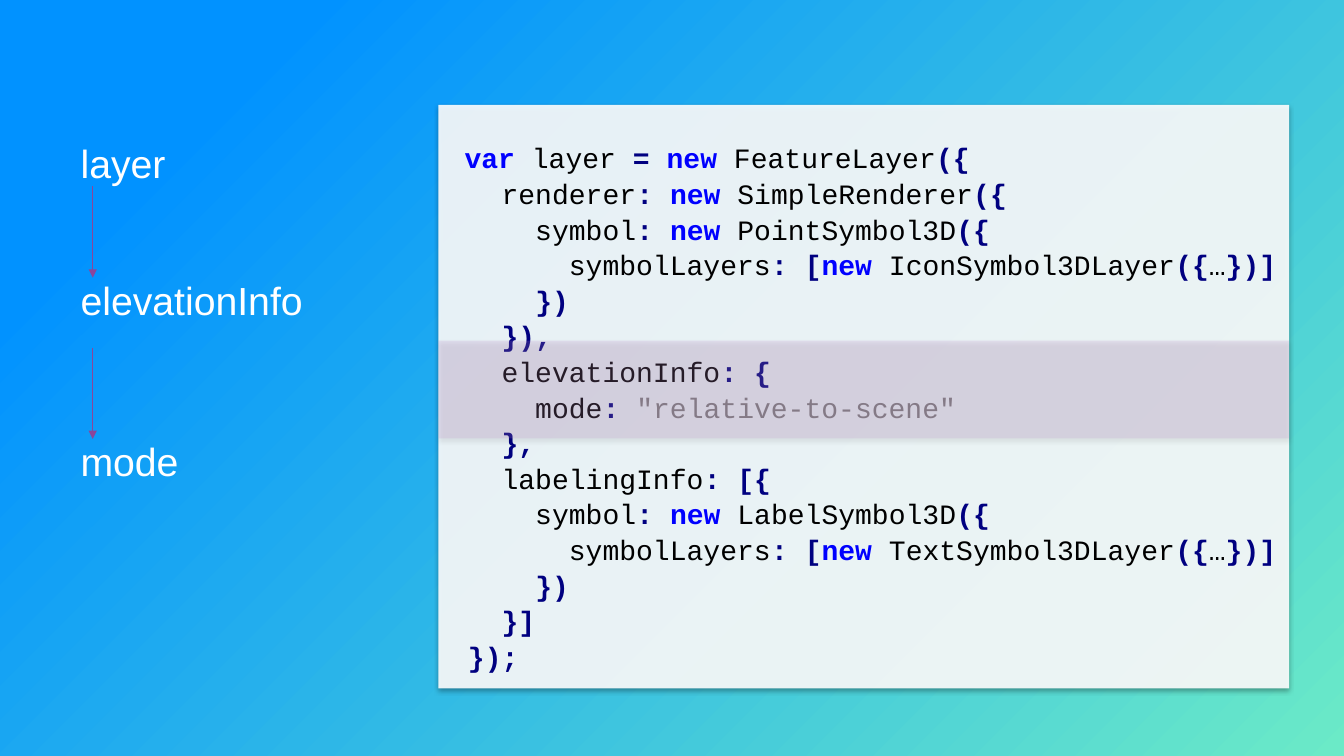
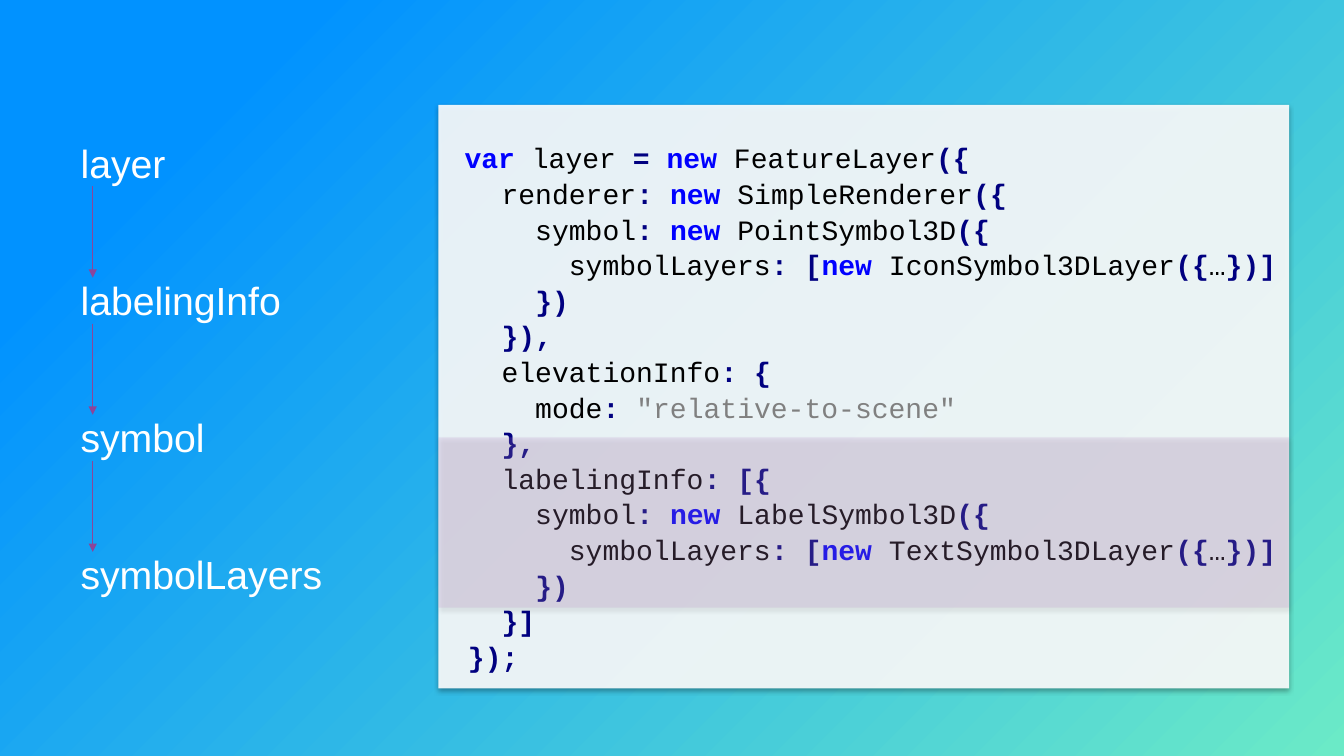
from itertools import groupby

from lxml.etree import SubElement as Sub
from pptx import Presentation
from pptx.dml.color import RGBColor as Rgb
from pptx.enum.shapes import MSO_CONNECTOR as Line, MSO_SHAPE as Shape
from pptx.oxml.ns import qn
from pptx.util import Inches, Pt

COLORS = {
    "mint": "6BEAC7", "blue": "0192FF", "white": "FFFFFF", "arrow": "8C459A",
    "band": "BF8CC9", "shade": "000000",
    "name": "000000", "key": "0000FF", "mark": "000080", "text": "808080",
}

CODE = """\
  var layer = new FeatureLayer({
    renderer: new SimpleRenderer({
      symbol: new PointSymbol3D({
        symbolLayers: [new IconSymbol3DLayer({…})]
      })
    }),
    elevationInfo: {
      mode: "relative-to-scene"
    },
    labelingInfo: [{
      symbol: new LabelSymbol3D({
        symbolLayers: [new TextSymbol3DLayer({…})]
      })
    }]
  });"""

# Each slide: labels with their tops, then top and height of the band.
# Lengths are percent of the slide's width or height.
SLIDES = [
    ([("layer", 18.4), ("elevationInfo", 36.53), ("mode", 57.87)],
     (45.07, 12.93)),
    ([("layer", 18.4), ("labelingInfo", 36.53), ("symbol", 54.67),
      ("symbolLayers", 72.8)],
     (57.87, 22.53)),
]


def rgb(name):
    return Rgb.from_string(COLORS[name])


def group(char):
    """Tell blanks, words and marks apart."""
    if char == " ":
        return "blank"
    return "word" if char.isalnum() or char in '"-…' else "mark"


def kind(token):
    """Name the colour of a token."""
    if token in ("var", "new"):
        return "key"
    if token.startswith('"'):
        return "text"
    return "mark" if group(token[0]) == "mark" else "name"


class Deck:
    LEFT, ARROW = 6, 6.9          # label edge and arrow axis
    PANEL, WIDE = 32.62, 63.3     # panel edge and width

    def __init__(self):
        self.prs = Presentation()
        self.prs.slide_width = Inches(13.33)
        self.prs.slide_height = Inches(7.5)

    def x(self, share):
        return round(self.prs.slide_width * share / 100)

    def y(self, share):
        return round(self.prs.slide_height * share / 100)

    def box(self, left, top, wide, high):
        return self.x(left), self.y(top), self.x(wide), self.y(high)

    def page(self):
        """Start a slide on the shared gradient."""
        self.slide = self.prs.slides.add_slide(self.prs.slide_layouts[6])
        fill = self.slide.background.fill
        fill.gradient()
        fill.gradient_angle = 135
        stops = zip(fill.gradient_stops, ("mint", "blue"), (0, 0.85))
        for stop, color, place in stops:
            stop.color.rgb = rgb(color)
            stop.position = place

    def pane(self, top, high, color, alpha):
        """Draw a see-through rectangle with a soft shadow."""
        pane = self.slide.shapes.add_shape(
            Shape.RECTANGLE, *self.box(self.PANEL, top, self.WIDE, high))
        pane.shadow.inherit = False
        pane.line.fill.background()
        pane.fill.solid()
        pane.fill.fore_color.rgb = rgb(color)
        props = pane._element.spPr
        tint = props.find(qn("a:solidFill"))[0]
        Sub(tint, qn("a:alpha"), val=str(alpha * 1000))
        shade = Sub(props.find(qn("a:effectLst")), qn("a:outerShdw"),
                    blurRad=str(Pt(3.1)), dist=str(Pt(1.8)), dir="5400000",
                    rotWithShape="0")
        tone = Sub(shade, qn("a:srgbClr"), val=COLORS["shade"])
        Sub(tone, qn("a:alpha"), val="35000")

    def style(self, run, font, size, color, bold=False):
        run.font.name, run.font.size = font, Pt(size)
        run.font.bold = bold
        run.font.color.rgb = rgb(color)

    def label(self, text, top):
        frame = self.slide.shapes.add_textbox(
            *self.box(self.LEFT, top, 20, 6.27)).text_frame
        frame.margin_left = frame.margin_right = 0
        frame.margin_top = frame.margin_bottom = 0
        frame.word_wrap = True
        frame.text = text
        self.style(frame.paragraphs[0].runs[0], "Arial", 28, "white")

    def arrow(self, end):
        """Point down to the label whose top is given."""
        x = self.x(self.ARROW)
        line = self.slide.shapes.add_connector(
            Line.STRAIGHT, x, self.y(end - 11.87), x, self.y(end + 0.2))
        line.line.color.rgb = rgb("arrow")
        line.line.width = Pt(0.75)
        Sub(line.line._get_or_add_ln(), qn("a:tailEnd"), type="triangle")
        Sub(line._element.spPr, qn("a:effectLst"))

    def code(self, text):
        """Set code with coloured tokens."""
        frame = self.slide.shapes.add_textbox(
            *self.box(31.58, 17.73, 66, 68.67)).text_frame
        frame.word_wrap = True
        for row, line in enumerate(text.split("\n")):
            para = frame.paragraphs[0] if row == 0 else frame.add_paragraph()
            para.line_spacing = 1.06
            for spot, (_, chars) in enumerate(groupby(line, group)):
                run = para.add_run()
                run.text = "".join(chars)
                tone = kind(run.text)
                size = 18 if row == spot == 0 else 20
                self.style(run, "Courier New", size, tone,
                           tone in ("key", "mark"))


def main():
    deck = Deck()
    for labels, band in SLIDES:
        deck.page()
        # Chain of properties
        for spot, (text, top) in enumerate(labels):
            deck.label(text, top)
            if spot:
                deck.arrow(top)
        # Code panel with the matching lines marked
        deck.pane(13.87, 77.2, "white", 90)
        deck.code(CODE)
        deck.pane(*band, "band", 20)
    deck.prs.save("out.pptx")


if __name__ == "__main__":
    main()
